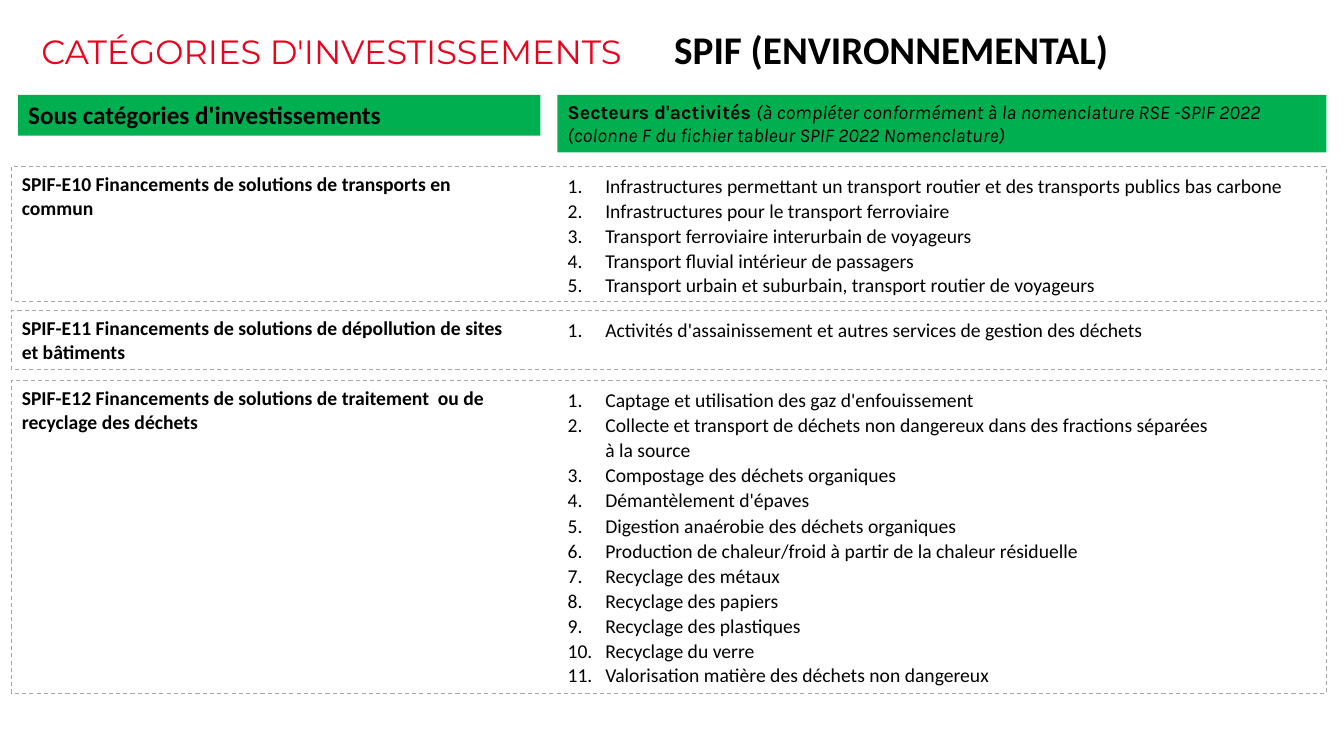
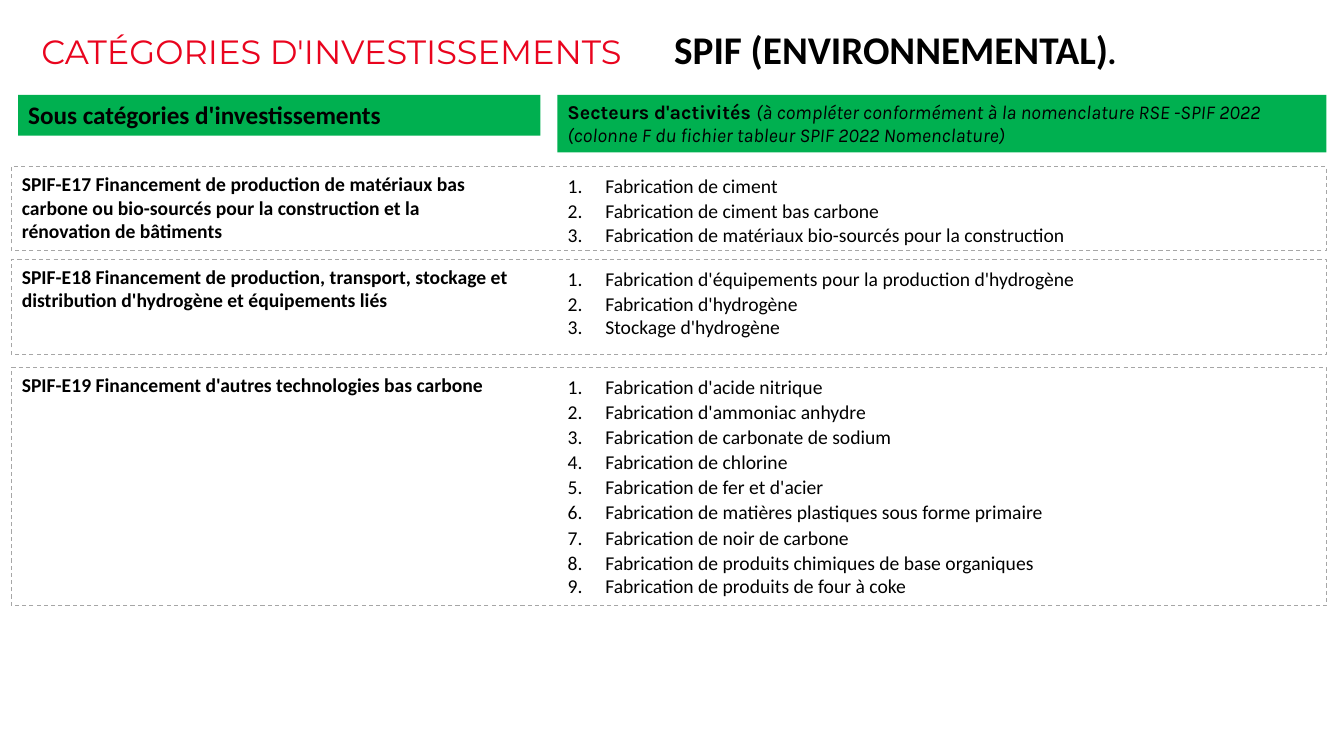
from dataclasses import dataclass

from lxml.etree import SubElement
from pptx import Presentation
from pptx.dml.color import RGBColor
from pptx.enum.dml import MSO_LINE_DASH_STYLE as Dash
from pptx.enum.shapes import MSO_SHAPE as Shape
from pptx.enum.text import MSO_ANCHOR as Anchor, MSO_AUTO_SIZE as AutoSize, PP_ALIGN as Align
from pptx.oxml.ns import qn
from pptx.util import Cm, Pt

# Content
TITLE = ("CATÉGORIES D'INVESTISSEMENTS", "SPIF (ENVIRONNEMENTAL)")
CATEGORY_HEADER = "Sous catégories d'investissements"
SECTOR_HEADER = (
    "Secteurs d'activités ",
    "(à compléter conformément à la nomenclature RSE -SPIF 2022 "
    "(colonne F du fichier tableur SPIF 2022 Nomenclature)",
)

# Each band: top, height, label width, list width (cm), label, sectors
SLIDES = [
    {"title_end": "", "bands": [
        (4.19, 3.4, 12.22, 19.38, "SPIF-E10 Financements de solutions de transports en commun", [
            "Infrastructures permettant un transport routier et des transports publics bas carbone",
            "Infrastructures pour le transport ferroviaire",
            "Transport ferroviaire interurbain de voyageurs",
            "Transport fluvial intérieur de passagers",
            "Transport urbain et suburbain, transport routier de voyageurs",
        ]),
        (7.82, 1.5, 12.9, 18.72,
         "SPIF-E11 Financements de solutions de dépollution de sites et bâtiments", [
             "Activités d'assainissement et autres services de gestion des déchets",
         ]),
        (9.58, 7.9, 12.9, 16.94,
         "SPIF-E12 Financements de solutions de traitement  ou de recyclage des déchets", [
             "Captage et utilisation des gaz d'enfouissement",
             "Collecte et transport de déchets non dangereux dans des fractions séparées à la source",
             "Compostage des déchets organiques",
             "Démantèlement d'épaves",
             "Digestion anaérobie des déchets organiques",
             "Production de chaleur/froid à partir de la chaleur résiduelle",
             "Recyclage des métaux",
             "Recyclage des papiers",
             "Recyclage des plastiques",
             "Recyclage du verre",
             "Valorisation matière des déchets non dangereux",
         ]),
    ]},
    {"title_end": ".", "bands": [
        (4.19, 2.13, 12.22, 19.38,
         "SPIF-E17 Financement de production de matériaux bas carbone ou bio-sourcés "
         "pour la construction et la rénovation de bâtiments", [
             "Fabrication de ciment",
             "Fabrication de ciment bas carbone",
             "Fabrication de matériaux bio-sourcés pour la construction",
         ]),
        (6.53, 2.41, 12.9, 18.72,
         "SPIF-E18 Financement de production, transport, stockage et distribution "
         "d'hydrogène et équipements liés", [
             "Fabrication d'équipements pour la production d'hydrogène",
             "Fabrication d'hydrogène",
             "Stockage d'hydrogène",
         ]),
        (9.25, 6.02, 12.9, 18.72, "SPIF-E19 Financement d'autres technologies bas carbone", [
            "Fabrication d'acide nitrique",
            "Fabrication d'ammoniac anhydre",
            "Fabrication de carbonate de sodium",
            "Fabrication de chlorine",
            "Fabrication de fer et d'acier",
            "Fabrication de matières plastiques sous forme primaire",
            "Fabrication de noir de carbone",
            "Fabrication de produits chimiques de base organiques",
            "Fabrication de produits de four à coke",
        ]),
    ]},
]


@dataclass(frozen=True)
class Theme:
    red: RGBColor = RGBColor(0xE9, 0x04, 0x1E)
    green: RGBColor = RGBColor(0x00, 0xB0, 0x50)
    black: RGBColor = RGBColor(0, 0, 0)
    ink: RGBColor = RGBColor(1, 1, 1)
    grey: RGBColor = RGBColor(0xA6, 0xA6, 0xA6)
    title: Pt = Pt(24)
    subject: Pt = Pt(28)
    header: Pt = Pt(18)
    body: Pt = Pt(14)


THEME = Theme()
BODY = {"name": "Calibri", "size": THEME.body, "color": THEME.black, "bold": False}
LABEL = BODY | {"bold": True}
HEADER = LABEL | {"size": THEME.header, "color": THEME.ink}
SECTOR = {"name": "Karla", "size": THEME.body, "color": THEME.ink, "bold": True}
SECTOR_NOTE = SECTOR | {"bold": False, "italic": True}
HEADING = {"name": "Montserrat", "size": THEME.title, "color": THEME.red, "bold": False}
SUBJECT = LABEL | {"size": THEME.subject}
SUBJECT_END = SUBJECT | {"size": THEME.title, "italic": True}

# Page grid
LABEL_LEFT, HEADER_LEFT, LIST_LEFT = Cm(0.3), Cm(0.46), Cm(14.05)
HEADER_TOP, FRAME_WIDTH = Cm(2.39), Cm(33.12)
TITLE_TAB, LIST_INDENT, TEXT_DROP = Cm(15.95), Cm(0.95), Cm(0.02)


def add_span(para, text, style):
    span = para.add_run()
    span.text = text
    for key, value in style.items():
        if key == "color":
            span.font.color.rgb = value
        else:
            setattr(span.font, key, value)


def place(box, left, top, width, height):
    box.left, box.top, box.width, box.height = left, top, width, height


def prepare(box, anchor=Anchor.TOP):
    frame = box.text_frame
    settings = {"word_wrap": True, "auto_size": AutoSize.SHAPE_TO_FIT_TEXT,
                "vertical_anchor": anchor}
    for key, value in settings.items():
        setattr(frame, key, value)
    frame.paragraphs[0].alignment = Align.LEFT
    return frame


def add_rectangle(page, *bounds):
    box = page.shapes.add_shape(Shape.RECTANGLE, *bounds)
    box.shadow.inherit = False
    return box


def fill_title(page, ending):
    box = page.shapes.title
    place(box, Cm(1.04), Cm(0.86), Cm(31.65), Cm(0.94))
    frame = prepare(box, Anchor.BOTTOM)
    for side in ("left", "top", "right", "bottom"):
        setattr(frame, f"margin_{side}", 0)
    para = frame.paragraphs[0]
    para.line_spacing = 0.75
    tabs = SubElement(para._p.get_or_add_pPr(), qn("a:tabLst"))
    SubElement(tabs, qn("a:tab"), pos=str(TITLE_TAB), algn="l")
    heading, subject = TITLE
    add_span(para, heading + "\t", HEADING)
    add_span(para, subject, SUBJECT)
    if ending:
        add_span(para, ending, SUBJECT_END)


def add_header(page, left, width, height, spans):
    box = add_rectangle(page, left, HEADER_TOP, width, height)
    box.fill.solid()
    box.fill.fore_color.rgb = THEME.green
    box.line.fill.background()
    para = prepare(box).paragraphs[0]
    for text, style in spans:
        add_span(para, text, style)


def fill_list(box, items):
    frame = prepare(box)
    for index, item in enumerate(items):
        para = frame.add_paragraph() if index else frame.paragraphs[0]
        para.alignment = Align.LEFT
        para.line_spacing = 1.0 if index and index == len(items) - 1 else 1.07
        para.space_before = para.space_after = Pt(0)
        props = para._p.get_or_add_pPr()
        props.set("marL", str(LIST_INDENT))
        props.set("indent", str(-LIST_INDENT))
        SubElement(props, qn("a:buFont"), typeface="+mj-lt")
        SubElement(props, qn("a:buAutoNum"), type="arabicPeriod")
        add_span(para, item, BODY)


def add_band(page, body, top, height, label_width, list_width, label, sectors):
    top, height = Cm(top), Cm(height)
    # Dashed frame
    outline = add_rectangle(page, LABEL_LEFT, top, FRAME_WIDTH, height)
    outline.fill.background()
    outline.line.color.rgb = THEME.grey
    outline.line.width = Pt(0.75)
    outline.line.dash_style = Dash.DASH
    # Category label and its numbered sectors
    text_top = top + TEXT_DROP
    box = page.shapes.add_textbox(LABEL_LEFT, text_top, Cm(label_width), Cm(1.45))
    add_span(prepare(box).paragraphs[0], label, LABEL)
    place(body, LIST_LEFT, text_top, Cm(list_width), height - TEXT_DROP)
    fill_list(body, sectors)


def main():
    deck = Presentation()
    deck.slide_width, deck.slide_height = Cm(33.87), Cm(19.05)
    comparison = deck.slide_layouts[4]
    for content in SLIDES:
        page = deck.slides.add_slide(comparison)
        fill_title(page, content["title_end"])
        add_header(page, HEADER_LEFT, Cm(13.16), Cm(1.03), [(CATEGORY_HEADER, HEADER)])
        add_header(page, LIST_LEFT, Cm(19.38), Cm(1.45),
                   zip(SECTOR_HEADER, (SECTOR, SECTOR_NOTE)))
        _, *bodies = page.placeholders
        bands = content["bands"]
        for body, band in zip(bodies, bands):
            add_band(page, body, *band)
        for unused in bodies[len(bands):]:
            unused.element.getparent().remove(unused.element)
    deck.save("out.pptx")


if __name__ == "__main__":
    main()
